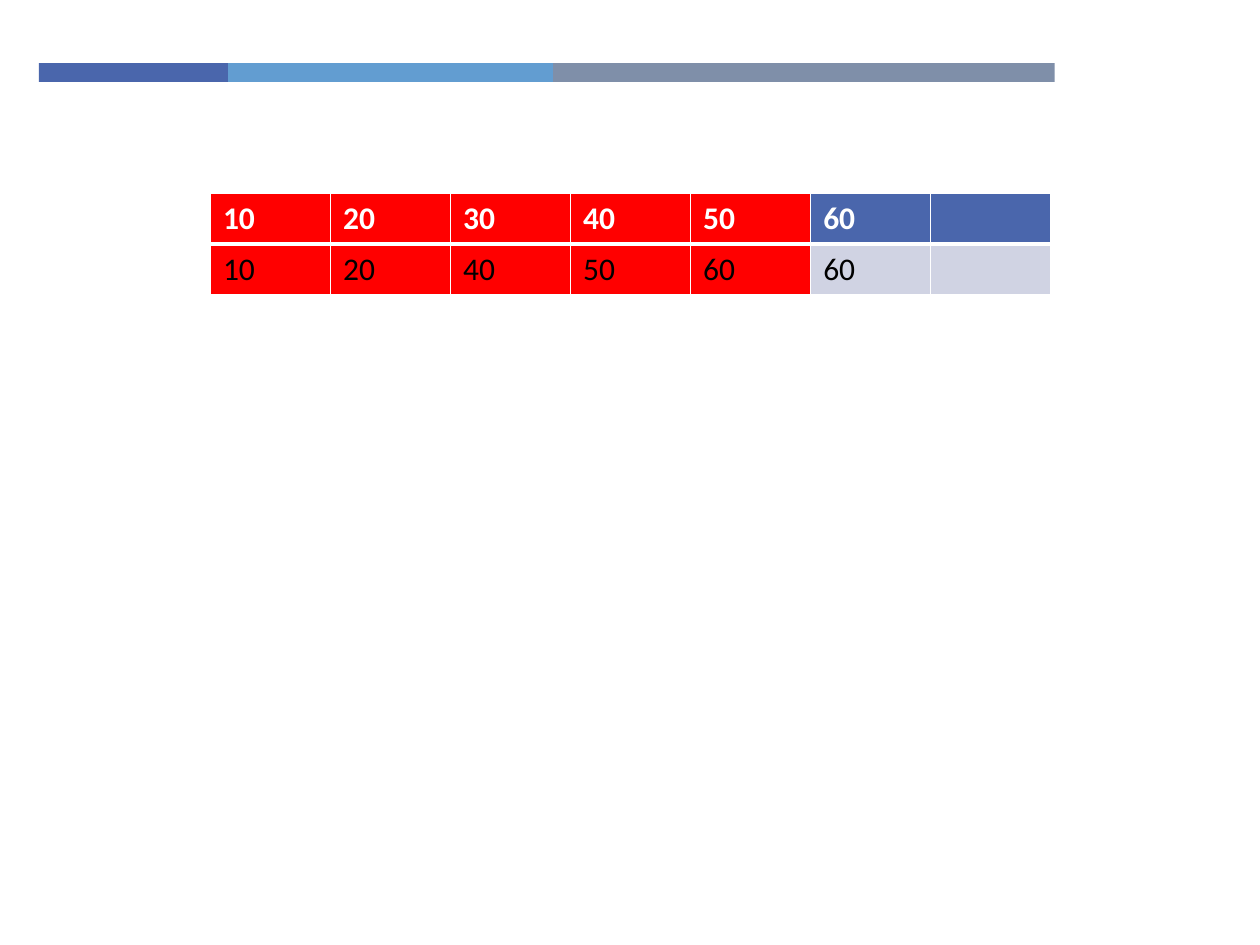
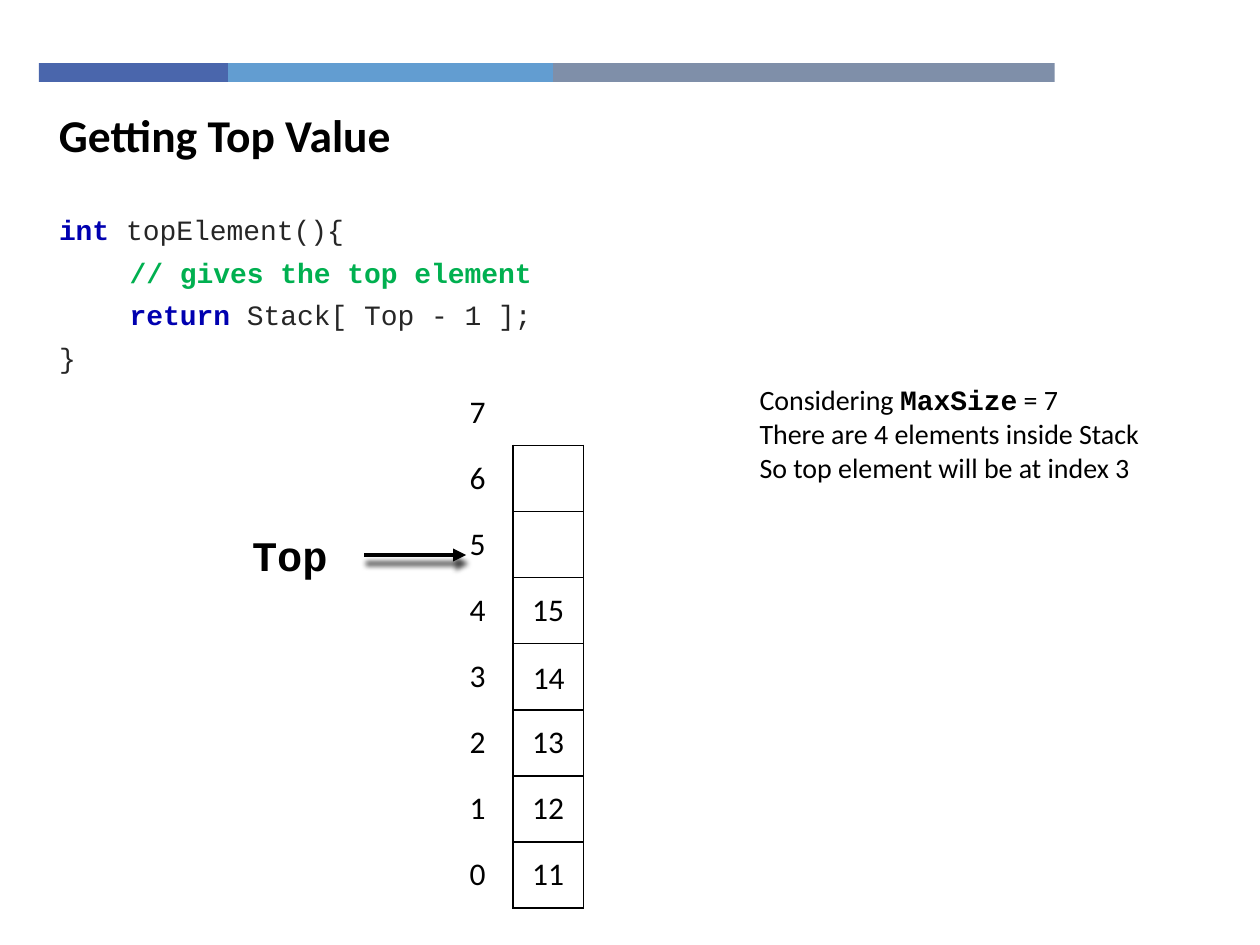
"""Build two slides on stacks: a value table and reading the top element."""
import pptx
import pptx.util
import pptx.dml.color
import pptx.enum.shapes
import pptx.enum.text
import pptx.oxml
import pptx.oxml.ns
from dataclasses import dataclass

Pt = pptx.util.Pt
Align = pptx.enum.text.PP_ALIGN
Anchor = pptx.enum.text.MSO_ANCHOR
Shape = pptx.enum.shapes.MSO_SHAPE


@dataclass(frozen=True)
class Theme:
    blue: str = "4A66AC"
    sky: str = "629DD1"
    slate: str = "7F8FA9"
    pale: str = "D0D3E3"
    red: str = "FF0000"
    white: str = "FFFFFF"
    black: str = "000000"
    ink: str = "262626"
    key: str = "0000B0"
    green: str = "00B050"
    sans: str = "Calibri"
    mono: str = "Courier New"
    head: int = 26
    mark: int = 24
    cell: int = 18
    body: int = 16


T = Theme()

BANDS = [(T.blue, 108), (T.sky, 185.76), (T.slate, 286.56)]
VALUES = [
    ["10", "20", "30", "40", "50", "60", ""],
    ["10", "20", "40", "50", "60", "60", ""],
]
REDS = 5
TITLE = "Getting Top Value"
CODE = [
    [("int ", T.key, True), ("topElement(){", T.ink, False)],
    [("\t", T.key, True), ("// gives the top element", T.green, True)],
    [("\treturn ", T.key, True), ("Stack[ Top - 1 ];", T.ink, False)],
    [("}", T.ink, False)],
]
NOTE = [
    [("Considering ", T.sans, False), ("MaxSize", T.mono, True), (" = 7", T.sans, False)],
    [("There are 4 elements inside Stack", T.sans, False)],
    [("So top element will be at index 3", T.sans, False)],
]
STACK = ["", "", "", "15", "", "13", "12", "11"]
LOOSE = "14"
LABEL = "Top"


def color(code):
    return pptx.dml.color.RGBColor.from_string(code)


def style(run, size, code=T.black, face=T.sans, bold=False):
    font = run.font
    font.size, font.name, font.bold = Pt(size), face, bold
    font.color.rgb = color(code)


def place(*box):
    return [Pt(n) for n in box]


def block(slide, box, fill):
    rect = slide.shapes.add_shape(Shape.RECTANGLE, *place(*box))
    rect.shadow.inherit = False
    rect.fill.solid()
    rect.fill.fore_color.rgb = color(fill)
    rect.line.fill.background()
    return rect


def write(shape, text, size, face=T.sans, bold=False, align=Align.LEFT, anchor=Anchor.TOP):
    frame = shape.text_frame
    frame.word_wrap = True
    frame.vertical_anchor = anchor
    frame.text = text
    line = frame.paragraphs[0]
    line.alignment = align
    style(line.runs[0], size, face=face, bold=bold)


def lines(slide, box, rows):
    frame = slide.shapes.add_textbox(*place(*box)).text_frame
    frame.word_wrap = True
    for i, row in enumerate(rows):
        line = frame.paragraphs[0] if i == 0 else frame.add_paragraph()
        for text, code, face, bold in row:
            run = line.add_run()
            run.text = text
            style(run, T.body, code, face, bold)
    return frame.paragraphs


def page(deck):
    slide = deck.slides.add_slide(deck.slide_layouts[6])
    left = 22.32
    for fill, width in BANDS:
        block(slide, (left, 36, width, 10.8), fill)
        left += width
    return slide


def grid(slide, left, top, wide, high, rows, cols):
    frame = slide.shapes.add_table(rows, cols, *place(left, top, wide * cols, high * rows))
    table = frame.table
    table.first_row = table.horz_banding = False
    for col in table.columns:
        col.width = Pt(wide)
    for row in table.rows:
        row.height = Pt(high)
    return table


def fill_cell(cell, text, fill, code=T.black, bold=False):
    if fill:
        cell.fill.solid()
        cell.fill.fore_color.rgb = color(fill)
    else:
        cell.fill.background()
    cell.text = text
    for run in cell.text_frame.paragraphs[0].runs:
        style(run, T.cell, code, bold=bold)


def edge(cell, sides):
    props = cell._tc.get_or_add_tcPr()
    space = pptx.oxml.ns.nsdecls("a")
    for i, side in enumerate("LRTB"):
        code, width = sides.get(side, (None, 0))
        paint = f'<a:solidFill><a:srgbClr val="{code}"/></a:solidFill>' if code else "<a:noFill/>"
        props.insert(i, pptx.oxml.parse_xml(
            f'<a:ln{side} {space} w="{Pt(width)}">{paint}</a:ln{side}>'))


def values(deck):
    table = grid(page(deck), 120.24, 110.16, 68.6, 29.2, len(VALUES), len(VALUES[0]))
    for r, row in enumerate(VALUES):
        for c, text in enumerate(row):
            first = r == 0
            fill = T.red if c < REDS else T.blue if first else T.pale
            cell = table.cell(r, c)
            fill_cell(cell, text, fill, T.white if first else T.black, first)
            sides = {side: (T.white, 1) for side in "LRTB"}
            sides["B" if first else "T"] = (T.white, 3)
            edge(cell, sides)


def stack(slide):
    count = len(STACK)
    table = grid(slide, 252.72, 216.72, 40.32, 37.8, count, 2)
    rule = (T.black, 1)
    for r, text in enumerate(STACK):
        pair = [(str(count - 1 - r), "R" if r else ""), (text, "LRTB" if r else "B")]
        for c, (word, sides) in enumerate(pair):
            cell = table.cell(r, c)
            fill_cell(cell, word, None)
            cell.vertical_anchor = Anchor.MIDDLE
            cell.text_frame.paragraphs[0].alignment = Align.CENTER
            edge(cell, {side: rule for side in sides})


def arrow(slide, rect, end):
    mid = rect.top + rect.height // 2
    kind = pptx.enum.shapes.MSO_CONNECTOR.STRAIGHT
    link = slide.shapes.add_connector(kind, rect.left + rect.width, mid, Pt(end), mid)
    link.begin_connect(rect, 3)
    link.line.width = Pt(2.5)
    link.line.color.rgb = color(T.black)
    space = pptx.oxml.ns.nsdecls("a")
    link.line._get_or_add_ln().append(pptx.oxml.parse_xml(f'<a:tailEnd {space} type="triangle"/>'))
    link._element.spPr.append(pptx.oxml.parse_xml(
        f'<a:effectLst {space}><a:outerShdw blurRad="{Pt(3)}" dist="{Pt(5)}" dir="4500000">'
        f'<a:srgbClr val="{T.black}"><a:alpha val="75000"/></a:srgbClr>'
        '</a:outerShdw></a:effectLst>'))


def reading(deck):
    slide = page(deck)
    rows = [[(text, code, T.mono, bold) for text, code, bold in row] for row in CODE]
    for line in lines(slide, (26.64, 121.68, 474.48, 120.24), rows):
        line.line_spacing = 0.8
        line.space_before = line.space_after = Pt(4.5)
        props = line._p.get_or_add_pPr()
        props.set("marL", str(Pt(40.32)))
        props.set("indent", str(-Pt(40.32)))
    title = slide.shapes.add_textbox(*place(26.64, 57.6, 515.52, 38.88))
    write(title, TITLE, T.head, bold=True)
    stack(slide)
    rows = [[(text, T.black, face, bold) for text, face, bold in row] for row in NOTE]
    for line in lines(slide, (426.96, 215.28, 394.56, 65.52), rows):
        line.alignment = Align.JUSTIFY
    label = block(slide, (123.12, 301.68, 84.96, 30.96), T.white)
    write(label, LABEL, T.mark, T.mono, True, Align.CENTER, Anchor.MIDDLE)
    arrow(slide, label, 266.4)
    loose = slide.shapes.add_textbox(*place(293.76, 367.92, 39.6, 37.44))
    write(loose, LOOSE, T.cell, align=Align.CENTER, anchor=Anchor.MIDDLE)


def main():
    deck = pptx.Presentation()
    deck.slide_width, deck.slide_height = Pt(720), Pt(540)
    values(deck)
    reading(deck)
    deck.save("out.pptx")


if __name__ == "__main__":
    main()
